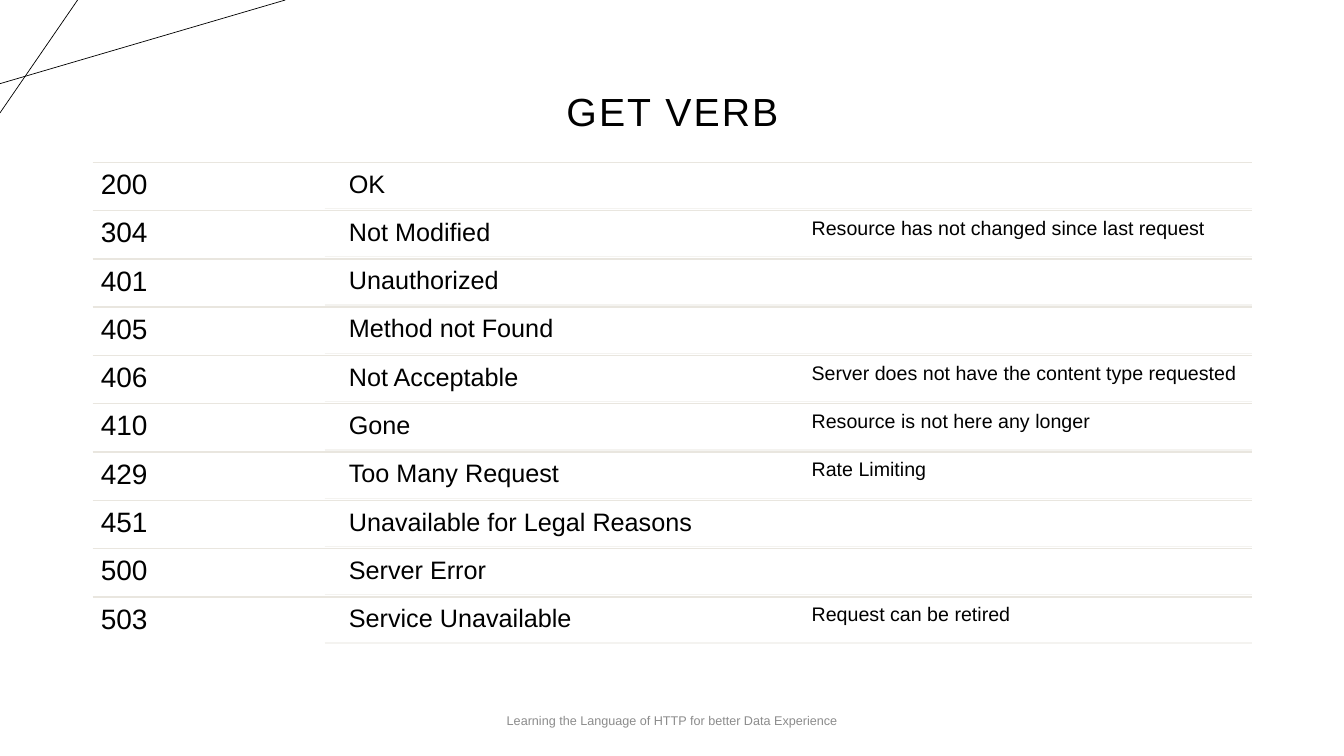
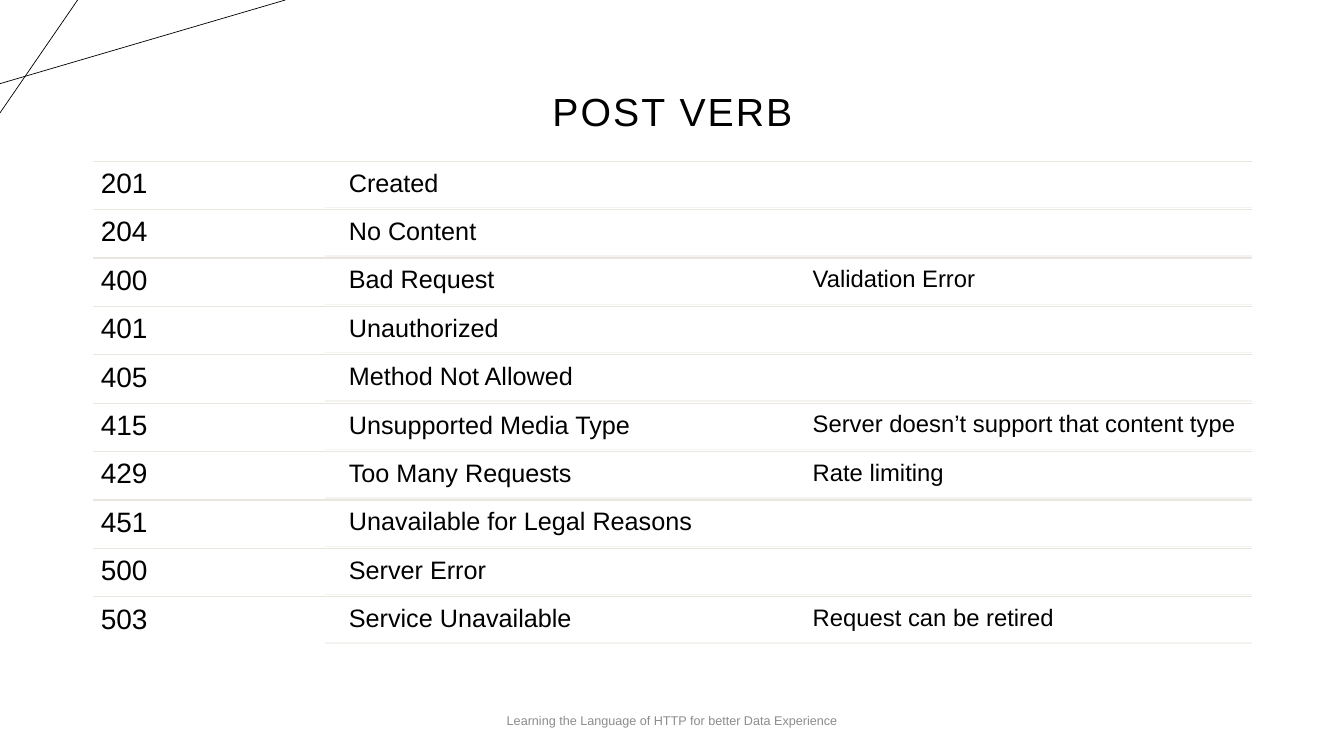
from pptx import Presentation
from pptx.dml.color import RGBColor
from pptx.enum.shapes import MSO_CONNECTOR
from pptx.enum.text import MSO_ANCHOR, MSO_AUTO_SIZE, PP_ALIGN
from pptx.oxml.ns import qn
from pptx.util import Inches, Pt
from lxml.etree import SubElement

FONT = "Arial"
HUES = {"ink": "000000", "row": "E9E6DF", "sub": "F4F3F0", "foot": "8C8C8C"}
FOOT = "Learning the Language of HTTP for better Data Experience"

WIDE, HIGH = 13.33, 7.5
LEFT, COL = 0.92, 2.3       # five equal columns: code 1, name 2, note 2
RIGHT = LEFT + 5 * COL
PAD, GAP = 0.17, 0.02       # inset of the name and note boxes in a row
END = 6.4                   # bottom of the last row

# title, top of the list, note size, note inset, rows
PAGES = [
    ("GET VERB", 1.61, 14, 0.06, [
        ("200", "OK", ""),
        ("304", "Not Modified", "Resource has not changed since last request"),
        ("401", "Unauthorized", ""),
        ("405", "Method not Found", ""),
        ("406", "Not Acceptable", "Server does not have the content type requested"),
        ("410", "Gone", "Resource is not here any longer"),
        ("429", "Too Many Request", "Rate Limiting"),
        ("451", "Unavailable for Legal Reasons", ""),
        ("500", "Server Error", ""),
        ("503", "Service Unavailable", "Request can be retired"),
    ]),
    ("POST VERB", 1.6, 17, 0.07, [
        ("201", "Created", ""),
        ("204", "No Content", ""),
        ("400", "Bad Request", "Validation Error"),
        ("401", "Unauthorized", ""),
        ("405", "Method Not Allowed", ""),
        ("415", "Unsupported Media Type", "Server doesn’t support that content type"),
        ("429", "Too Many Requests", "Rate limiting"),
        ("451", "Unavailable for Legal Reasons", ""),
        ("500", "Server Error", ""),
        ("503", "Service Unavailable", "Request can be retired"),
    ]),
]


def rule(slide, x1, y1, x2, y2, hue, size=1):
    """Draw a straight line without a shadow."""
    line = slide.shapes.add_connector(
        MSO_CONNECTOR.STRAIGHT, Inches(x1), Inches(y1), Inches(x2), Inches(y2))
    line.line.color.rgb = RGBColor.from_string(HUES[hue])
    line.line.width = Pt(size)
    SubElement(line._element.spPr, qn("a:effectLst"))


def write(shape, text, size, hue="ink", inset=None, space=0.9, mid=False):
    """Fill a shape with one line of text; mid centres it both ways."""
    frame = shape.text_frame
    frame.text = text
    frame.word_wrap = True
    frame.auto_size = MSO_AUTO_SIZE.NONE
    frame.vertical_anchor = MSO_ANCHOR.MIDDLE if mid else MSO_ANCHOR.TOP
    if inset is not None:
        frame.margin_left = frame.margin_right = Inches(inset)
        frame.margin_top = frame.margin_bottom = Inches(inset)
    para = frame.paragraphs[0]
    para.alignment = PP_ALIGN.CENTER if mid else PP_ALIGN.LEFT
    para.line_spacing = space
    font = para.runs[0].font
    font.name, font.size = FONT, Pt(size)
    font.color.rgb = RGBColor.from_string(HUES[hue])


deck = Presentation()
deck.slide_width, deck.slide_height = Inches(WIDE), Inches(HIGH)
plan = deck.slide_layouts.get_by_name("Title Only")
head = plan.placeholders[0]
head.left, head.top = Inches(LEFT), Inches(0.4)
head.width, head.height = Inches(5 * COL), Inches(1.45)

for title, top, size, inset, rows in PAGES:
    slide = deck.slides.add_slide(plan)
    rule(slide, 0, 0.83, 2.83, 0, "ink", 0.5)
    rule(slide, 0.77, 0, 0, 1.12, "ink", 0.5)

    name = slide.shapes.title
    write(name, title, 28, mid=True)
    name.text_frame.paragraphs[0].runs[0].font._element.set("spc", "150")

    step = (END - top) / len(rows)
    for i, row in enumerate(rows):
        y = top + i * step
        rule(slide, LEFT, y, RIGHT, y, "row")
        # column, inset from the column, gap from the row, size, text inset
        cells = [(0, 1, 0, 0, 20, 0.08),
                 (1, 2, PAD, GAP, 18, 0.07),
                 (3, 2, PAD, GAP, size, inset)]
        for text, (col, span, pad, gap, pts, edge) in zip(row, cells):
            if text:
                box = slide.shapes.add_textbox(
                    Inches(LEFT + col * COL + pad), Inches(y + gap),
                    Inches(span * COL - pad), Inches(step - 2 * gap))
                write(box, text, pts, inset=edge)
        base = y + step - GAP
        rule(slide, LEFT + COL, base, RIGHT, base, "sub")

    foot = slide.shapes.add_textbox(
        Inches((WIDE - 4.5) / 2), Inches(6.95), Inches(4.5), Inches(0.4))
    write(foot, FOOT, 9, "foot", space=1.0, mid=True)

deck.save("out.pptx")
